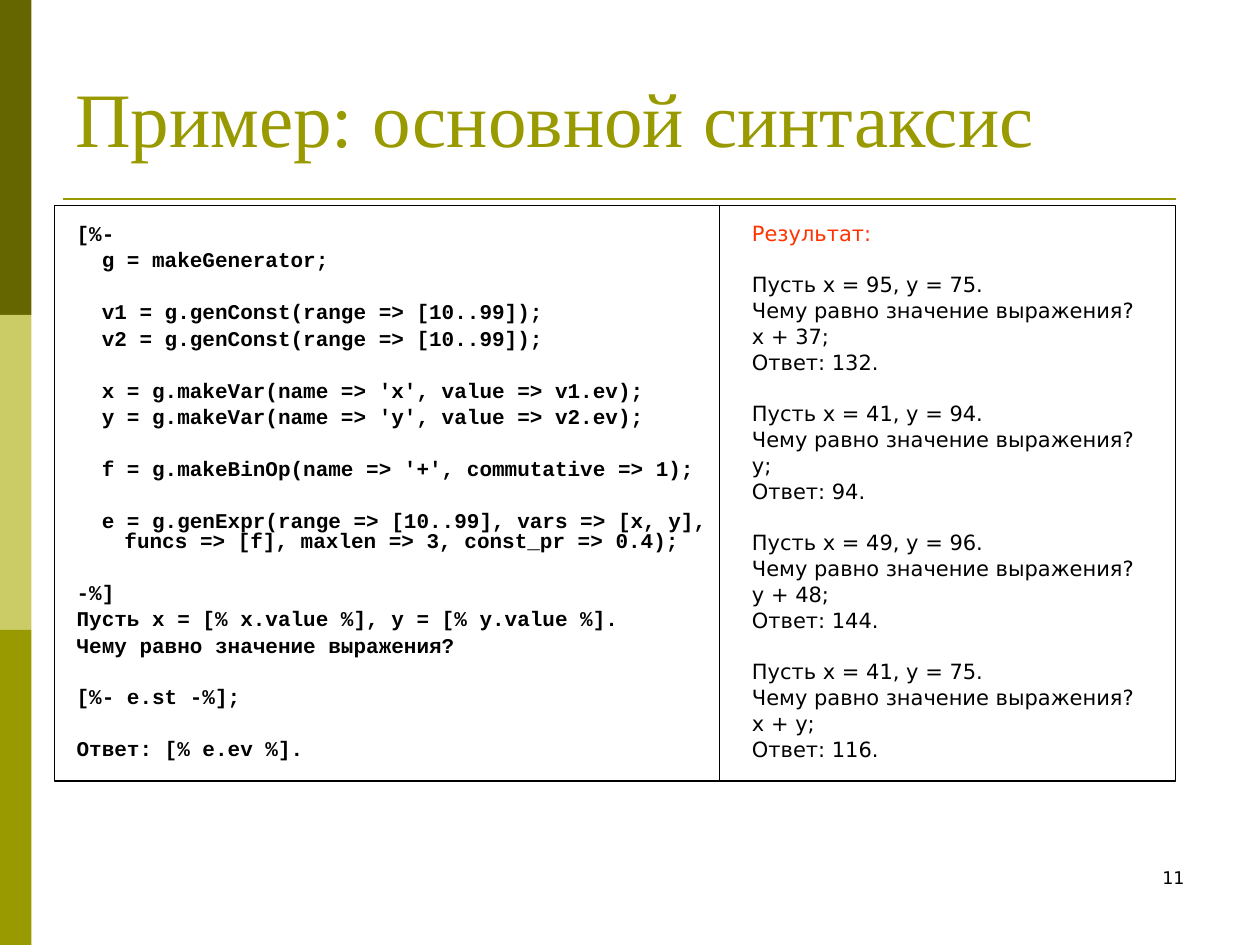
"""Build a slide with a template code sample and its generated results."""
from dataclasses import dataclass

from lxml import etree
from pptx import Presentation
from pptx import util as u
from pptx.dml import color
from pptx.enum import shapes, text
from pptx.oxml import ns


@dataclass(frozen=True)
class Theme:
    """Colours, fonts and type sizes of the slide."""
    dark: str = "666600"
    pale: str = "CCCC66"
    main: str = "999900"
    ink: str = "000000"
    red: str = "FF3300"
    serif: str = "Times New Roman"
    mono: str = "Courier New"
    sans: str = "DejaVu Sans"
    head: int = 44
    body: int = 12
    small: int = 10


@dataclass(frozen=True)
class Box:
    """A region in inches."""
    left: float
    top: float
    width: float
    height: float

    def place(self):
        """Return left, top, width and height as lengths."""
        return [u.Inches(n) for n in (self.left, self.top, self.width, self.height)]


THEME = Theme()
PITCH = 14.5

CODE = [
    ["[%-", "  g = makeGenerator;"],
    ["  v1 = g.genConst(range => [10..99]);",
     "  v2 = g.genConst(range => [10..99]);"],
    ["  x = g.makeVar(name => 'x', value => v1.ev);",
     "  y = g.makeVar(name => 'y', value => v2.ev);"],
    ["  f = g.makeBinOp(name => '+', commutative => 1);"],
    ["  e = g.genExpr(range => [10..99], vars => [x, y], "
     "funcs => [f], maxlen => 3, const_pr => 0.4);"],
    ["-%]", "Пусть x = [% x.value %], y = [% y.value %].",
     "Чему равно значение выражения?"],
    ["[%- e.st -%];"],
    ["Ответ: [% e.ev %]."],
]
CASES = [(95, 75, "x + 37", 132), (41, 94, "y", 94),
         (49, 96, "y + 48", 144), (41, 75, "x + y", 116)]


def apply(item, values):
    """Set each attribute named in a dict."""
    for name, value in values.items():
        setattr(item, name, value)


def style(part, face, size, tint, bold=False):
    """Give a paragraph its font."""
    apply(part.font, {"name": face, "size": u.Pt(size), "bold": bold})
    part.font.color.rgb = color.RGBColor.from_string(tint)


def frame(slide, box, anchor=text.MSO_ANCHOR.TOP):
    """Add a wrapping text box and return its frame."""
    body = slide.shapes.add_textbox(*box.place()).text_frame
    apply(body, {"word_wrap": True, "vertical_anchor": anchor})
    return body


def label(slide, box, words, font, align, anchor):
    """Add a text box of one line."""
    part = frame(slide, box, anchor).paragraphs[0]
    apply(part, {"text": words, "alignment": align})
    style(part, *font)


def block(slide, box, fill=None, line=None):
    """Add a rectangle with an optional fill and outline."""
    item = slide.shapes.add_shape(shapes.MSO_SHAPE.RECTANGLE, *box.place())
    item.shadow.inherit = False
    for paint, tint in ((item.fill, fill), (item.line.fill, line)):
        if tint:
            paint.solid()
            paint.fore_color.rgb = color.RGBColor.from_string(tint)
        else:
            paint.background()
    if line:
        item.line.width = u.Pt(0.75)


def stripe(slide, box):
    """Fill the side band with three equal blocks."""
    tints = (THEME.dark, THEME.pale, THEME.main)
    step = box.height / len(tints)
    for row, tint in enumerate(tints):
        block(slide, Box(box.left, box.top + row * step, box.width, step), tint)


def rule(slide, box):
    """Draw the line under the title along the top of the box."""
    left, top, width, _ = box.place()
    item = slide.shapes.add_connector(
        shapes.MSO_CONNECTOR.STRAIGHT, left, top, left + width, top)
    item.line.width = u.Pt(1.5)
    item.line.color.rgb = color.RGBColor.from_string(THEME.main)
    etree.SubElement(item._element.spPr, ns.qn("a:effectLst"))


def listing(slide, box, groups, font, gap):
    """Write groups of lines, one line of space between groups."""
    body = frame(slide, box)
    hang = u.Inches(0.38)
    for turn, group in enumerate(groups):
        for row, words in enumerate(group):
            first = turn == row == 0
            part = body.paragraphs[0] if first else body.add_paragraph()
            space = 0 if first else gap + (0 if row else PITCH)
            apply(part, {"text": words, "line_spacing": 0.8,
                         "space_before": u.Pt(space)})
            props = part._p.get_or_add_pPr()
            props.set("marL", str(hang))
            props.set("indent", str(-hang))
            style(part, *font)
    return body


def panel(slide, box, split):
    """Place the code and result columns in two outlined cells."""
    right = box.left + split
    rest = box.width - split
    block(slide, Box(box.left, box.top, split, box.height), line=THEME.ink)
    block(slide, Box(right, box.top, rest, box.height), line=THEME.ink)
    top = box.top + 0.11
    listing(slide, Box(box.left + 0.08, top, split + 0.09, box.height - 0.11),
            CODE, (THEME.mono, THEME.body, THEME.ink, True), 3.6)
    groups = [["Результат:"]] + [
        [f"Пусть x = {x}, y = {y}.", "Чему равно значение выражения?",
         f"{term};", f"Ответ: {total}."] for x, y, term, total in CASES]
    body = listing(slide, Box(right + 0.16, top, rest - 0.06, box.height - 0.11),
                   groups, (THEME.sans, THEME.body, THEME.ink), 3.3)
    style(body.paragraphs[0], THEME.sans, THEME.body, THEME.red)


def main():
    """Build and save the slide."""
    deck = Presentation()
    apply(deck, {"slide_width": u.Inches(10), "slide_height": u.Inches(7.5)})
    slide = deck.slides.add_slide(deck.slide_layouts[6])
    stripe(slide, Box(0, 0, 0.25, 7.5))
    rule(slide, Box(0.5, 1.58, 8.83, 0))
    label(slide, Box(0.5, 0.3, 9, 1.25), "Пример: основной синтаксис",
          (THEME.serif, THEME.head, THEME.main),
          text.PP_ALIGN.LEFT, text.MSO_ANCHOR.MIDDLE)
    panel(slide, Box(0.43, 1.63, 8.9, 4.57), 5.28)
    label(slide, Box(7.17, 6.83, 2.33, 0.5), "11",
          (THEME.sans, THEME.small, THEME.ink),
          text.PP_ALIGN.RIGHT, text.MSO_ANCHOR.TOP)
    deck.save("out.pptx")


if __name__ == "__main__":
    main()
